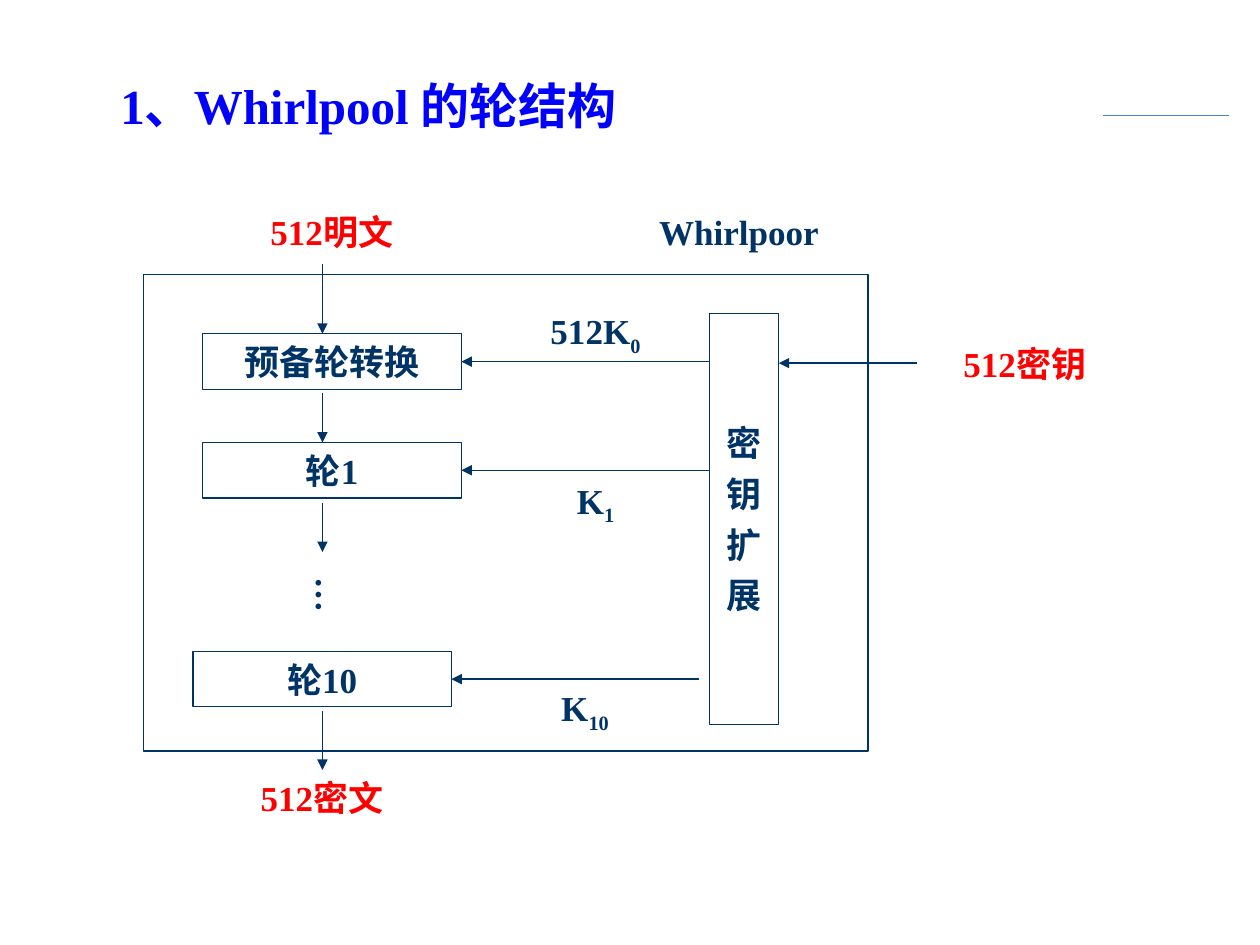
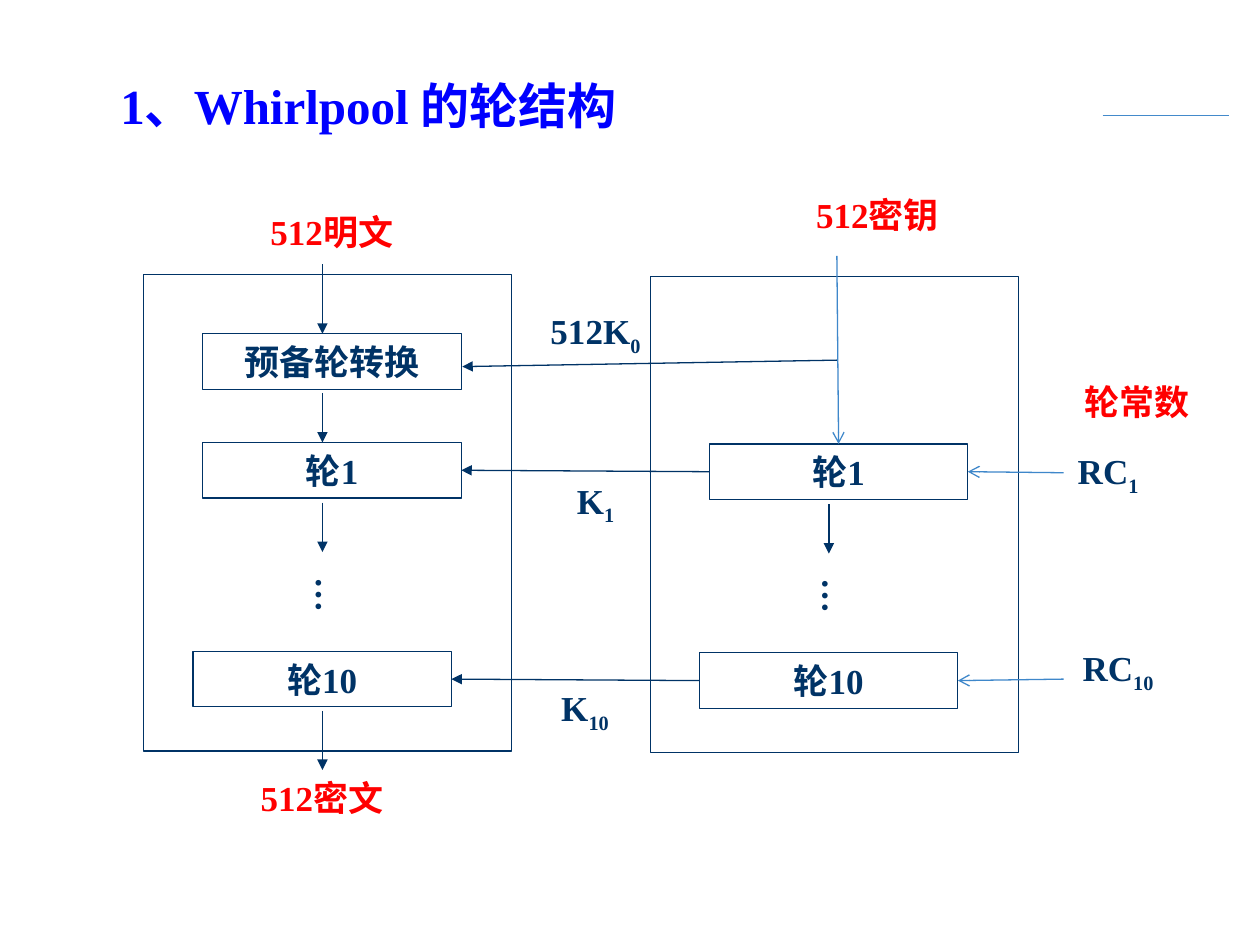
from lxml import etree
from pptx import Presentation
from pptx.dml.color import RGBColor
from pptx.enum.shapes import MSO_CONNECTOR, MSO_SHAPE
from pptx.enum.text import MSO_ANCHOR, PP_ALIGN
from pptx.oxml.ns import qn
from pptx.util import Cm, Pt

RECT = MSO_SHAPE.RECTANGLE
STRAIGHT = MSO_CONNECTOR.STRAIGHT
MIDDLE = MSO_ANCHOR.MIDDLE
LEFT, CENTER = PP_ALIGN.LEFT, PP_ALIGN.CENTER
TOP_SIDE, LEFT_SIDE, RIGHT_SIDE = 0, 1, 3

NAVY, RED, BLUE = "003366", "FF0000", "0000FF"
RULE_BLUE, ARROW_BLUE = "438ACB", "3E87CA"
FONT = {"name": "Times New Roman", "bold": True}
BODY, TITLE = Pt(20), Pt(28)

ROW_H = 1.12
KEY_LABEL_H = 1.22
NODE_W = 5.21
LABEL_W = 4.8
ROUND_1_Y, ROUND_10_Y = 8.92, 13.13
FLOW_X = 6.5
KEY_COLUMN_DX, KEY_COLUMN_DY = 10.21, 0.03


def rgb(color):
    return RGBColor.from_string(color)


def put_text(shape, lines, sub="", color=NAVY, size=BODY, align=CENTER):
    tf = shape.text_frame
    tf.word_wrap = True
    tf.vertical_anchor = MIDDLE
    for i, line in enumerate(lines):
        p = tf.add_paragraph() if i else tf.paragraphs[0]
        p.alignment = align
        if i:
            p.space_before = Pt(5)
        for text, baseline in ((line, None), (sub, "-25000")):
            if not text:
                continue
            r = p.add_run()
            r.text = text
            for name, value in {**FONT, "size": size}.items():
                setattr(r.font, name, value)
            r.font.color.rgb = rgb(color)
            if baseline:
                r._r.get_or_add_rPr().set("baseline", baseline)


def add_label(s, text, x, y, w=LABEL_W, h=ROW_H, **style):
    box = s.shapes.add_textbox(Cm(x), Cm(y), Cm(w), Cm(h))
    put_text(box, [text], **style)
    return box


def add_box(s, x, y, w, h, lines=()):
    box = s.shapes.add_shape(RECT, Cm(x), Cm(y), Cm(w), Cm(h))
    box.shadow.inherit = False
    box.fill.background()
    box.line.color.rgb = rgb(NAVY)
    box.line.width = Pt(0.75)
    put_text(box, lines)
    return box


def add_node(s, text, x, y):
    return add_box(s, x, y, NODE_W, ROW_H, [text])


def add_line(s, begin, end, color=NAVY, head=None, begin_at=None, end_at=None):
    line = s.shapes.add_connector(STRAIGHT, *(Cm(v) for v in begin + end))
    line.line.color.rgb = rgb(color)
    line.line.width = Pt(0.75)
    if head:
        tail = etree.SubElement(line.line._get_or_add_ln(), qn("a:tailEnd"))
        tail.set("type", head)
    etree.SubElement(line._element.spPr, qn("a:effectLst"))
    if begin_at:
        line.begin_connect(*begin_at)
    if end_at:
        line.end_connect(*end_at)


def add_arrow(s, begin, end, color=NAVY, head="triangle", **joins):
    add_line(s, begin, end, color, head, **joins)


def add_down_arrow(s, x, top, bottom):
    add_arrow(s, (x, top), (x, bottom))


def add_titled_slide(prs, title):
    s = prs.slides.add_slide(prs.slide_layouts[6])
    add_line(s, (22.23, 2.33), (24.77, 2.33), RULE_BLUE)
    add_label(s, title, 2.18, 1.4, 19.02, 1.45, color=BLUE, size=TITLE, align=LEFT)
    return s


def add_round_column(s, panel_w, dx=0, dy=0):
    add_box(s, 2.9 + dx, 5.54 + dy, panel_w, 9.6)
    round_1 = add_node(s, "轮1", 4.09 + dx, ROUND_1_Y + dy)
    add_down_arrow(s, FLOW_X + dx, 10.13 + dy, 11.13 + dy)
    add_label(s, "…", 5.79 + dx, 11.43 + dy, 1.73).rotation = 90
    round_10 = add_node(s, "轮10", 3.89 + dx, ROUND_10_Y + dy)
    return round_1, round_10


def add_cipher(s, panel_w):
    rounds = add_round_column(s, panel_w)
    prepare = add_node(s, "预备轮转换", 4.09, 6.73)
    for top, bottom in ((5.33, 6.73), (7.92, ROUND_1_Y), (14.33, 15.52)):
        add_down_arrow(s, FLOW_X, top, bottom)
    add_label(s, "512明文", 4.29, 4.11, color=RED)
    add_label(s, "512密文", 4.09, 15.52, color=RED)
    for text, sub, x, y in (("512K", "0", 9.91, 6.12),
                            ("K", "1", 9.91, 9.53),
                            ("K", "10", 9.7, 13.72)):
        add_label(s, text, x, y, 4.19, KEY_LABEL_H, sub=sub)
    return (prepare, *rounds)


def add_overview(prs, title):
    s = add_titled_slide(prs, title)
    nodes = add_cipher(s, 14.6)
    add_box(s, 14.3, 6.32, 1.4, 8.28, "密钥扩展")
    for node, x, y in zip(nodes, (14.3, 14.3, 14.1), (7.29, 9.48, 13.69)):
        add_arrow(s, (x, y), (9.3, y), end_at=(node, RIGHT_SIDE))
    add_label(s, "Whirlpoor", 12.5, 4.11)
    add_arrow(s, (18.49, 7.32), (15.7, 7.32))
    add_label(s, "512密钥", 18.26, 6.76, color=RED)


def add_key_schedule(prs, title):
    s = add_titled_slide(prs, title)
    _, *rounds = add_cipher(s, 7.42)
    key_rounds = add_round_column(s, 7.42, KEY_COLUMN_DX, KEY_COLUMN_DY)
    for node, key_node, y in zip(rounds, key_rounds, (9.53, 13.69)):
        add_arrow(s, (14.3, y), (9.3, y),
                  begin_at=(key_node, LEFT_SIDE), end_at=(node, RIGHT_SIDE))
        add_arrow(s, (21.44, y), (19.5, y), ARROW_BLUE, "arrow",
                  end_at=(key_node, RIGHT_SIDE))
    add_arrow(s, (16.87, 7.26), (9.32, 7.39))
    add_arrow(s, (16.87, 5.16), (16.9, 8.95), ARROW_BLUE, "arrow",
              end_at=(key_rounds[0], TOP_SIDE))
    add_label(s, "512密钥", 15.29, 3.76, color=RED)
    add_label(s, "轮常数", 21.23, 7.54, 3.38, color=RED)
    for sub, x, y in (("1", 20.83, 8.94), ("10", 21.03, 12.9)):
        add_label(s, "RC", x, y, 3.02, KEY_LABEL_H, sub=sub)


def main():
    prs = Presentation()
    prs.slide_width, prs.slide_height = Cm(25.4), Cm(19.05)
    title = "1、Whirlpool 的轮结构"
    add_overview(prs, title)
    add_key_schedule(prs, title)
    prs.save("out.pptx")


if __name__ == "__main__":
    main()
